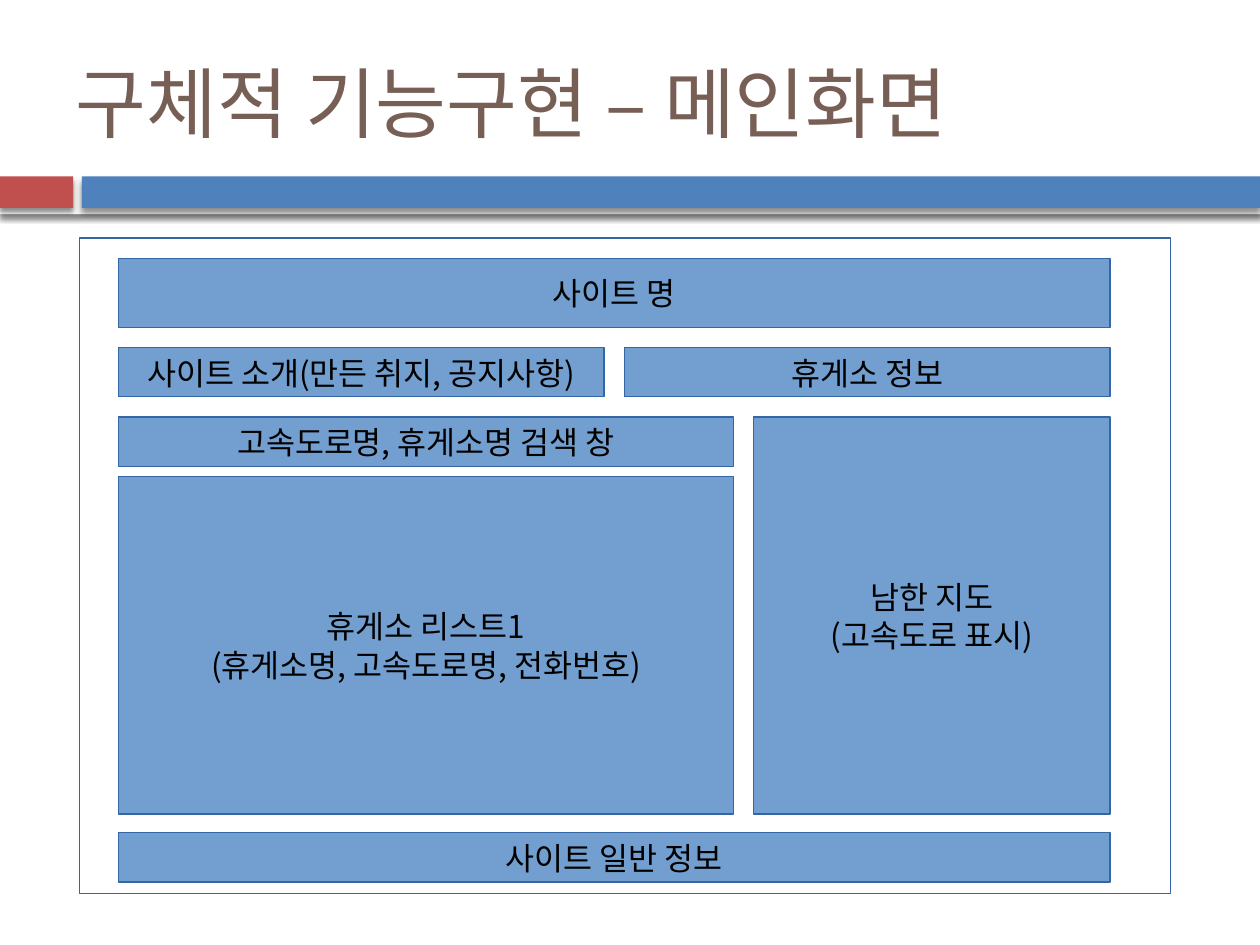
from dataclasses import dataclass

from lxml.etree import SubElement
from pptx import Presentation
from pptx.dml.color import RGBColor
from pptx.enum.shapes import MSO_SHAPE
from pptx.enum.text import MSO_ANCHOR, PP_ALIGN
from pptx.oxml.ns import qn
from pptx.util import Inches, Pt


@dataclass(frozen=True)
class Theme:
    white: str = "FFFFFF"
    red: str = "C0504D"
    blue: str = "4F81BD"
    box: str = "729FCF"
    border: str = "3465A4"
    text: str = "000000"
    title: str = "775F55"
    title_font: str = "Cabin"
    body_font: str = "Noto Sans CJK KR"
    title_size: int = 44
    body_size: int = 18
    body_leading: int = 22
    border_width: float = 0.75


THEME = Theme()


def color(value):
    return RGBColor.from_string(value)


def set_attrs(obj, values):
    for name, value in values.items():
        setattr(obj, name, value)


def add_rect(s, at, fill, line=None):
    sp = s.shapes.add_shape(MSO_SHAPE.RECTANGLE, *map(Inches, at))
    sp.shadow.inherit = False
    sp.fill.solid()
    sp.fill.fore_color.rgb = color(fill)
    if line:
        sp.line.color.rgb = color(line)
        sp.line.width = Pt(THEME.border_width)
    else:
        sp.line.fill.background()
    return sp


def add_shadow(sp):
    effects = sp._element.spPr.find(qn("a:effectLst"))
    shadow = SubElement(
        effects, qn("a:outerShdw"), blurRad=str(Pt(3)), dist=str(Pt(2.4)),
        dir="5400000", algn="ctr", rotWithShape="0")
    black = SubElement(shadow, qn("a:srgbClr"), val="000000")
    SubElement(black, qn("a:alpha"), val="45000")


def add_run(p, text, font, size, rgb):
    r = p.add_run()
    r.text = text
    set_attrs(r.font, {"name": font, "size": Pt(size)})
    r.font.color.rgb = color(rgb)
    SubElement(r.font._element, qn("a:ea"), typeface=THEME.body_font)


def add_band(s, at, fill):
    add_shadow(add_rect(s, at, fill))


def add_title(s, text):
    sp = s.shapes.add_textbox(*map(Inches, (0.5, 0.3, 9, 1.01)))
    tf = sp.text_frame
    set_attrs(tf, {"word_wrap": True, "vertical_anchor": MSO_ANCHOR.MIDDLE})
    add_run(tf.paragraphs[0], text, THEME.title_font, THEME.title_size, THEME.title)


def add_box(s, at, *lines):
    sp = add_rect(s, at, THEME.box, THEME.border)
    tf = sp.text_frame
    set_attrs(tf, {"word_wrap": False, "vertical_anchor": MSO_ANCHOR.MIDDLE})
    for i, line in enumerate(lines):
        p = tf.add_paragraph() if i else tf.paragraphs[0]
        set_attrs(p, {"alignment": PP_ALIGN.CENTER,
                      "line_spacing": Pt(THEME.body_leading)})
        add_run(p, line, THEME.body_font, THEME.body_size, THEME.text)


def add_layout_boxes(s):
    left, width, gap, row = 0.94, 7.87, 0.16, 0.39
    half = (width - gap) / 2
    list_width = 4.88
    map_left = left + list_width + gap
    map_width = width - list_width - gap
    menu_top, main_top, list_top, main_bottom = 2.76, 3.31, 3.78, 6.46

    add_box(s, (left, 2.05, width, 0.55), "사이트 명")
    add_box(s, (left, menu_top, half, row), "사이트 소개(만든 취지, 공지사항)")
    add_box(s, (left + half + gap, menu_top, half, row), "휴게소 정보")
    add_box(s, (map_left, main_top, map_width, main_bottom - main_top),
            "남한 지도", "(고속도로 표시)")
    add_box(s, (left, list_top, list_width, main_bottom - list_top),
            "휴게소 리스트1", "(휴게소명, 고속도로명, 전화번호)")
    add_box(s, (left, 6.61, width, row), "사이트 일반 정보")
    add_box(s, (left, main_top, list_width, row), "고속도로명, 휴게소명 검색 창")


def main():
    prs = Presentation()
    set_attrs(prs, {"slide_width": Inches(10), "slide_height": Inches(7.5)})
    s = prs.slides.add_slide(prs.slide_layouts[6])
    add_band(s, (0, 1.35, 10, 0.35), THEME.white)
    add_band(s, (0, 1.4, 0.58, 0.25), THEME.red)
    add_band(s, (0.65, 1.4, 9.35, 0.25), THEME.blue)
    add_title(s, "구체적 기능구현 – 메인화면")
    add_rect(s, (0.63, 1.89, 8.66, 5.2), THEME.white, THEME.border)
    add_layout_boxes(s)
    prs.save("out.pptx")


if __name__ == "__main__":
    main()
